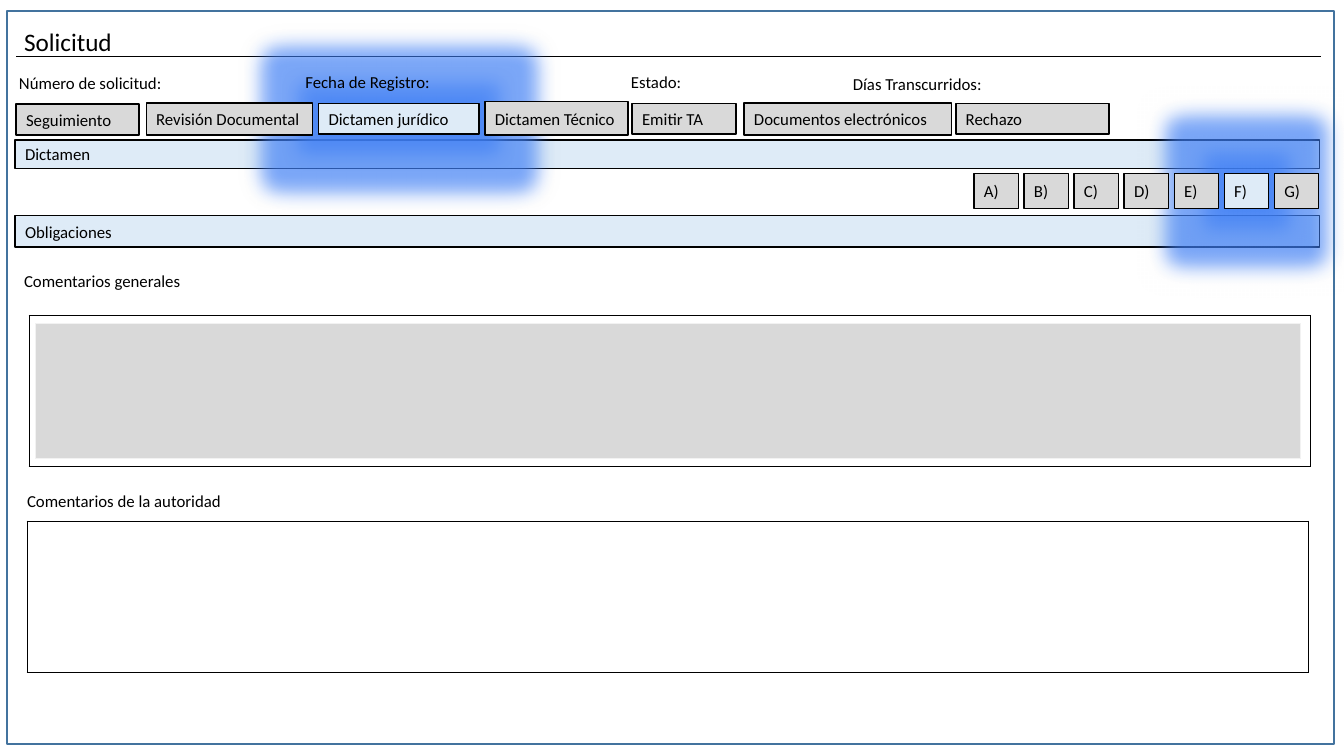
from lxml import etree
from pptx import Presentation
from pptx.dml.color import RGBColor
from pptx.enum.shapes import MSO_CONNECTOR, MSO_SHAPE
from pptx.enum.text import MSO_ANCHOR, PP_ALIGN
from pptx.oxml import parse_xml
from pptx.oxml.ns import qn
from pptx.util import Inches, Pt

RECT = MSO_SHAPE.RECTANGLE
STRAIGHT = MSO_CONNECTOR.STRAIGHT
MIDDLE = MSO_ANCHOR.MIDDLE
LEFT = PP_ALIGN.LEFT
FONT = "Calibri"
NS = "http://schemas.openxmlformats.org/drawingml/2006/main"
COLORS = {"black": "000000", "frame": "43739E", "active": "DEEBF7",
          "gray": "D9D9D9", "edge": "F2F2F2", "glow": "3F7FF5"}


def rgb(name):
    return RGBColor.from_string(COLORS[name])


def write(tf, text, size=12):
    tf.word_wrap = True
    p = tf.paragraphs[0]
    p.text = text
    p.alignment = LEFT
    p.font.size = Pt(size)
    p.font.name = FONT
    p.font.color.rgb = rgb("black")


def add_label(s, x, y, w, text, size=12, h=0.3):
    sp = s.shapes.add_textbox(Inches(x), Inches(y), Inches(w), Inches(h))
    write(sp.text_frame, text, size)


def add_box(s, x, y, w, h, fill=None, line="black", text=None):
    sp = s.shapes.add_shape(RECT, Inches(x), Inches(y), Inches(w), Inches(h))
    sp.shadow.inherit = False
    if fill:
        sp.fill.solid()
        sp.fill.fore_color.rgb = rgb(fill)
    else:
        sp.fill.background()
    sp.line.color.rgb = rgb(line)
    sp.line.width = Pt(1)
    if text:
        sp.text_frame.vertical_anchor = MIDDLE
        write(sp.text_frame, text)
    return sp


def add_glow(sp):
    effects = sp._element.spPr.find(qn("a:effectLst"))
    color = (f'<a:srgbClr val="{COLORS["glow"]}">'
             '<a:alpha val="{}"/></a:srgbClr>')
    effects.append(parse_xml(
        f'<a:glow xmlns:a="{NS}" rad="{Inches(0.38)}">'
        f'{color.format(60000)}</a:glow>'))
    effects.append(parse_xml(
        f'<a:outerShdw xmlns:a="{NS}" blurRad="{Inches(0.14)}" dist="0" '
        f'algn="ctr" rotWithShape="0">{color.format(70000)}</a:outerShdw>'))


def add_tabs(s, tabs, active):
    for x, y, w, h, text in sorted(tabs, key=lambda tab: tab[-1] != active):
        chosen = text == active
        sp = add_box(s, x, y, w, h, "active" if chosen else "gray", text=text)
        if chosen:
            add_glow(sp)


def add_header(s, x, y, w):
    add_label(s, x, y, 5.11, "Solicitud", 18, 0.4)
    rule_y = Inches(y + 0.35)
    line = s.shapes.add_connector(STRAIGHT, Inches(x + 0.02), rule_y,
                                  Inches(x + w), rule_y)
    line.line.color.rgb = rgb("black")
    line.line.width = Pt(0.5)
    etree.SubElement(line._element.spPr, qn("a:effectLst"))


def add_main_tabs(s, x, y):
    tabs = [(0, 0.02, 1.22, 0.31, "Seguimiento"),
            (1.29, 0.01, 1.65, 0.32, "Revisión Documental"),
            (3, 0.02, 1.59, 0.3, "Dictamen jurídico"),
            (4.65, 0, 1.42, 0.33, "Dictamen Técnico"),
            (6.11, 0.02, 1.03, 0.3, "Emitir TA"),
            (7.22, 0.01, 2.06, 0.32, "Documentos electrónicos"),
            (9.32, 0.02, 1.52, 0.3, "Rechazo")]
    add_tabs(s, [(x + dx, y + dy, w, h, text) for dx, dy, w, h, text in tabs],
             "Dictamen jurídico")


def add_letter_tabs(s, x, y, w):
    tab_w = 0.44
    pitch = (w - tab_w) / 6
    add_tabs(s, [(x + i * pitch, y, tab_w, 0.35, f"{letter})")
                 for i, letter in enumerate("ABCDEFG")], "F)")


def add_fields(s, x, y):
    for dx, dy, w, text in [(0, 0.01, 2.37, "Número de solicitud:"),
                            (2.84, 0, 2.12, "Fecha de Registro:"),
                            (6.07, 0, 2.12, "Estado:"),
                            (8.27, 0.02, 2.12, "Días Transcurridos:")]:
        add_label(s, x + dx, y + dy, w, text)


def add_comment_table(s, x, y, w, h):
    table = s.shapes.add_table(1, 1, Inches(x), Inches(y),
                               Inches(w), Inches(h)).table
    table.first_row = False
    table.horz_banding = False
    cell = table.cell(0, 0)
    tcPr = cell._tc.get_or_add_tcPr()
    for side in ("lnL", "lnR", "lnT", "lnB"):
        tcPr.append(parse_xml(
            f'<a:{side} xmlns:a="{NS}" w="{Pt(1)}"><a:solidFill>'
            f'<a:srgbClr val="{COLORS["black"]}"/></a:solidFill></a:{side}>'))
    cell.fill.background()


def add_comments(s, x, y, w, h):
    add_label(s, x - 0.15, y - 0.49, 3.37, "Comentarios generales")
    add_label(s, x - 0.12, y + 1.69, 3.37, "Comentarios de la autoridad")
    add_comment_table(s, x, y, w, h)
    add_box(s, x + 0.06, y + 0.08, w - 0.16, h - 0.16, "gray", "edge")
    add_comment_table(s, x - 0.02, y + 2.04, w, h)


prs = Presentation()
prs.slide_width = Inches(13.33)
prs.slide_height = Inches(7.5)
s = prs.slides.add_slide(prs.slide_layouts[6])

add_box(s, 0.07, 0.11, 13.16, 7.27, line="frame")
add_header(s, 0.14, 0.21, 12.96)
add_box(s, 0.15, 1.39, 12.94, 0.28, "active", text="Dictamen")
add_box(s, 0.15, 2.14, 12.94, 0.31, "active", text="Obligaciones")
add_letter_tabs(s, 9.66, 1.72, 3.42)
add_main_tabs(s, 0.16, 1.01)
add_fields(s, 0.09, 0.66)
add_comments(s, 0.29, 3.13, 12.71, 1.5)

prs.save("out.pptx")
